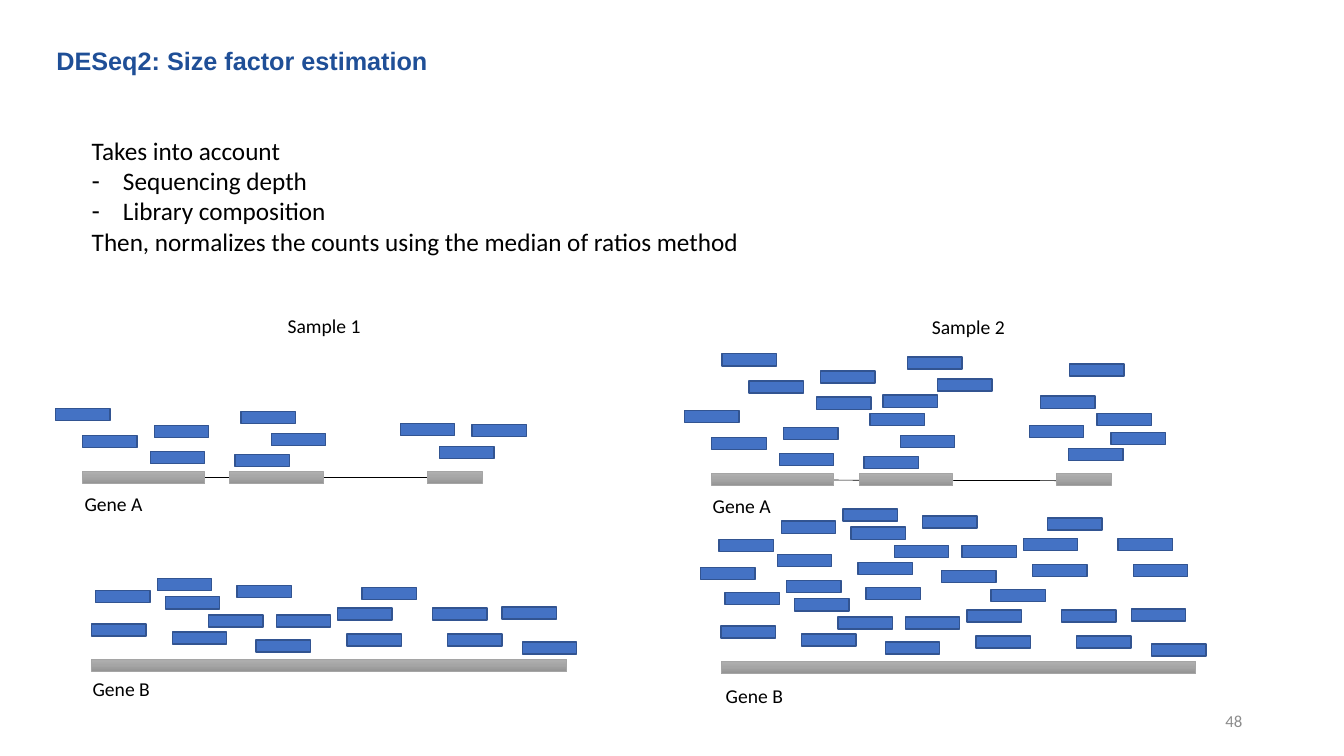
from copy import deepcopy

from pptx import Presentation
from pptx.dml.color import RGBColor
from pptx.enum.shapes import MSO_CONNECTOR, MSO_SHAPE
from pptx.enum.text import MSO_ANCHOR, MSO_AUTO_SIZE, PP_ALIGN
from pptx.oxml.ns import qn
from pptx.util import Inches, Pt

RECT = MSO_SHAPE.RECTANGLE
LINE = MSO_CONNECTOR.STRAIGHT
TOP, MIDDLE = MSO_ANCHOR.TOP, MSO_ANCHOR.MIDDLE
FIXED = MSO_AUTO_SIZE.NONE
LEFT, CENTER, RIGHT = PP_ALIGN.LEFT, PP_ALIGN.CENTER, PP_ALIGN.RIGHT

COLORS = {
    "title": "1F4F97", "text": "000000", "number": "8C8C8C",
    "read": "4472C4", "edge": "325491", "rim": "A5A5A5",
    "light": "AFAFAF", "mid": "A5A5A5", "dark": "939393",
}

READS_A = [
    (0.82, 4.32), (1.53, 4.22), (1.49, 4.48), (2.69, 4.3), (2.39, 4.08),
    (0.55, 4.05), (2.33, 4.51), (3.97, 4.2), (4.36, 4.43),
]
LAST_A = [(4.68, 4.21)]
READS_B = [
    (0.91, 6.19), (1.64, 5.92), (1.71, 6.27), (2.74, 6.1), (2.35, 5.81),
    (3.44, 6.29), (3.35, 6.03), (4.44, 6.29), (3.59, 5.83), (0.95, 5.86),
    (4.29, 6.03), (2.07, 6.1), (1.56, 5.74), (2.54, 6.35),
]
LAST_B = [(5.18, 6.37), (4.98, 6.02)]
MORE_A = [(11.02, 4.29), (8.76, 3.92), (10.32, 3.93), (10.88, 4.1), (10.61, 3.61)]
MORE_B = [(7.13, 5.35), (6.95, 5.63)]
EXONS = [(0.82, 1.21), (2.28, 0.93), (4.24, 0.54)]


def color(name):
    return RGBColor.from_string(COLORS[name])


def place(shape, left, top, width, height):
    shape.left, shape.top = Inches(left), Inches(top)
    shape.width, shape.height = Inches(width), Inches(height)


def dash(para):
    props = para._p.get_or_add_pPr()
    props.set("marL", str(Inches(0.31)))
    props.set("indent", str(-Inches(0.31)))
    props.append(props.makeelement(qn("a:buChar"), {"char": "-"}))


def plain(para):
    props = para._p.get_or_add_pPr()
    props.set("marL", "0")
    props.set("indent", "0")
    props.append(props.makeelement(qn("a:buNone"), {}))


def write(para, text, size, tone="text", face="Calibri", bold=False, align=LEFT):
    para.alignment = align
    para.space_before = Pt(0)
    run = para.add_run()
    run.text = text
    font = run.font
    font.size, font.name, font.bold = Pt(size), face, bold
    font.color.rgb = color(tone)


def setup(shape, anchor=TOP):
    frame = shape.text_frame
    frame.word_wrap = True
    frame.auto_size = FIXED
    frame.vertical_anchor = anchor
    return frame


def label(slide, text, left, top, align=LEFT):
    box = slide.shapes.add_textbox(
        Inches(left), Inches(top), Inches(1.37), Inches(0.34))
    write(setup(box).paragraphs[0], text, 14, align=align)


def block(slide, left, top, width, height, edge, weight):
    shape = slide.shapes.add_shape(
        RECT, Inches(left), Inches(top), Inches(width), Inches(height))
    shape.shadow.inherit = False
    shape.line.color.rgb = color(edge)
    shape.line.width = Pt(weight)
    return shape


def reads(slide, spots, dx=0, dy=0):
    for left, top in spots:
        shape = block(slide, left + dx, top + dy, 0.54, 0.12, "edge", 1)
        shape.fill.solid()
        shape.fill.fore_color.rgb = color("read")


def exon(slide, left, top, width):
    shape = block(slide, left, top, width, 0.12, "rim", 0.5)
    fill = shape.fill
    fill.gradient()
    fill.gradient_angle = 270
    stops = shape._element.spPr.find(".//" + qn("a:gsLst"))
    stops.insert(1, deepcopy(stops[0]))
    for stop, tone, spot in zip(fill.gradient_stops, ("light", "mid", "dark"), (0, 0.5, 1)):
        stop.color.rgb = color(tone)
        stop.position = spot


def intron(slide, left, top, right, end):
    line = slide.shapes.add_connector(
        LINE, Inches(left), Inches(top), Inches(right), Inches(end))
    line.line.color.rgb = color("text")
    line.line.width = Pt(0.5)
    props = line._element.spPr
    props.append(props.makeelement(qn("a:effectLst"), {}))


def genes(slide, dx, dy, slope):
    intron(slide, 0.82 + dx, 4.74 + dy, 4.78 + dx, 4.74 + dy + slope)
    for left, width in EXONS:
        exon(slide, left + dx, 4.68 + dy, width)
    exon(slide, 0.91 + dx, 6.54 + dy, 4.71)
    reads(slide, READS_A + READS_B + LAST_B, dx, dy)


def main():
    deck = Presentation()
    deck.slide_width, deck.slide_height = Inches(13.33), Inches(7.5)
    slide = deck.slides.add_slide(deck.slide_layouts[1])

    title = slide.shapes.title
    place(title, 0.46, 0.4, 9.93, 0.4)
    write(setup(title).paragraphs[0], "DESeq2: Size factor estimation",
          18, "title", "Arial", True)

    body = slide.placeholders[1]
    place(body, 0.81, 1.29, 11.25, 1.31)
    frame = setup(body)
    points = [
        ("Takes into account", plain),
        ("Sequencing depth", dash),
        ("Library composition", dash),
        ("Then, normalizes the counts using the median of ratios method", plain),
    ]
    for i, (text, style) in enumerate(points):
        para = frame.add_paragraph() if i else frame.paragraphs[0]
        style(para)
        write(para, text, 18)

    genes(slide, 0, 0, 0)
    reads(slide, LAST_A)
    genes(slide, 6.24, 0.02, 0.01)
    reads(slide, READS_A[:6], 6.61, -0.54)
    reads(slide, READS_B, 6.8, -0.69)
    reads(slide, MORE_A + MORE_B)

    label(slide, "Gene B", 0.82, 6.67)
    label(slide, "Gene A", 0.74, 4.83)
    label(slide, "Gene B", 7.1, 6.74)
    label(slide, "Gene A", 6.97, 4.85)
    label(slide, "Sample 1", 2.53, 3.07, CENTER)
    label(slide, "Sample 2", 8.92, 3.08, CENTER)

    page = slide.shapes.add_textbox(
        Inches(9.42), Inches(6.95), Inches(3), Inches(0.4))
    write(setup(page, MIDDLE).paragraphs[0], "48", 12, "number", align=RIGHT)
    deck.save("out.pptx")


if __name__ == "__main__":
    main()
